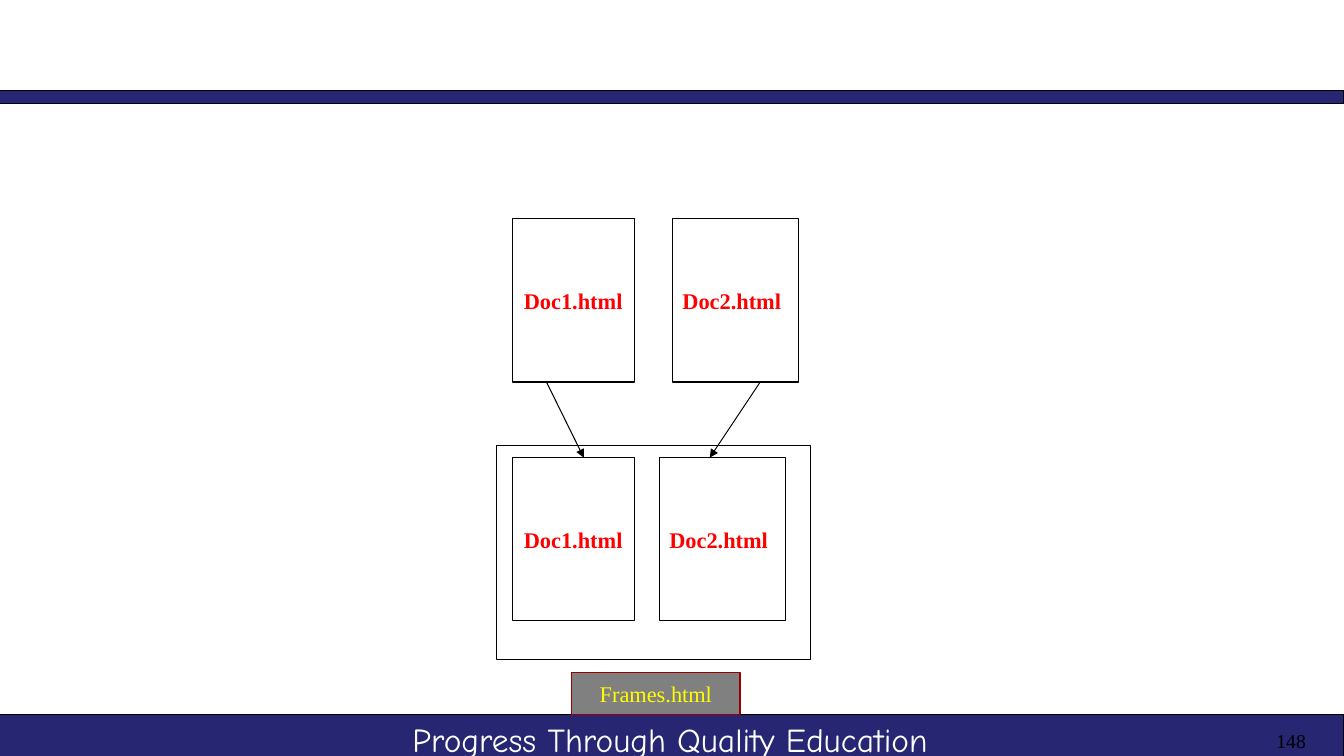
from lxml import etree
from pptx import Presentation
from pptx.dml.color import RGBColor
from pptx.enum.shapes import MSO_CONNECTOR, MSO_SHAPE
from pptx.enum.text import MSO_ANCHOR, PP_ALIGN
from pptx.oxml.ns import qn
from pptx.util import Inches, Pt

RECT = MSO_SHAPE.RECTANGLE
STRAIGHT = MSO_CONNECTOR.STRAIGHT
MIDDLE = MSO_ANCHOR.MIDDLE
LEFT, CENTER, RIGHT = PP_ALIGN.LEFT, PP_ALIGN.CENTER, PP_ALIGN.RIGHT

NAVY, WHITE, BLACK = "262673", "FFFFFF", "000000"
RED, YELLOW, GRAY, MAROON = "FF0000", "FFFF00", "808080", "990000"


def rgb(value):
    return RGBColor.from_string(value)


class FrameSlide:
    font = "Times New Roman"
    line_width = Pt(0.75)

    def __init__(self, prs):
        self.s = prs.slides.add_slide(prs.slide_layouts[6])

    def add_text(self, sp, text, size, color, align=CENTER, bold=False, font=None):
        tf = sp.text_frame
        tf.word_wrap = True
        tf.vertical_anchor = MIDDLE
        p = tf.paragraphs[0]
        p.alignment = align
        r = p.add_run()
        r.text = text
        r.font.name = font or self.font
        r.font.size = Pt(size)
        r.font.bold = bold
        r.font.color.rgb = rgb(color)

    def box(self, x, y, w, h, fill=WHITE, line=BLACK):
        sp = self.s.shapes.add_shape(RECT, Inches(x), Inches(y), Inches(w), Inches(h))
        sp.shadow.inherit = False
        sp.fill.solid()
        sp.fill.fore_color.rgb = rgb(fill)
        sp.line.color.rgb = rgb(line)
        sp.line.width = self.line_width
        return sp

    def label(self, x, y, w, h, text, size, color, **style):
        sp = self.s.shapes.add_textbox(Inches(x), Inches(y), Inches(w), Inches(h))
        self.add_text(sp, text, size, color, **style)

    def document(self, x, y, w, name, align):
        self.add_text(self.box(x, y, w, 1.62), name, 16, RED, align, bold=True)

    def arrow(self, x1, y1, x2, y2):
        c = self.s.shapes.add_connector(STRAIGHT, Inches(x1), Inches(y1), Inches(x2), Inches(y2))
        c.line.color.rgb = rgb(BLACK)
        c.line.width = self.line_width
        spPr = c._element.spPr
        etree.SubElement(spPr.find(qn("a:ln")), qn("a:tailEnd"), type="triangle")
        etree.SubElement(spPr, qn("a:effectLst"))


def main():
    prs = Presentation()
    prs.slide_width, prs.slide_height = Inches(13.33), Inches(7.5)
    slide = FrameSlide(prs)

    slide.box(0, 7.09, 13.33, 0.46, NAVY)
    slide.box(0, 0.9, 13.33, 0.13, NAVY)
    slide.label(3.48, 7.07, 6.33, 0.53, "Progress Through Quality Education", 23.9, WHITE,
                font="Comic Neue")
    slide.label(9.94, 7.17, 3.11, 0.36, "148", 14, BLACK, align=RIGHT)

    slide.box(4.92, 4.42, 3.12, 2.12)
    for y, doc2_x in ((4.54, 6.54), (2.17, 6.67)):
        slide.document(doc2_x, y, 1.25, "Doc2.html", LEFT)
        slide.document(5.08, y, 1.21, "Doc1.html", CENTER)
    frames = slide.box(5.67, 6.67, 1.67, 0.42, GRAY, MAROON)
    slide.add_text(frames, "Frames.html", 16, YELLOW)

    for start_x, end_x in ((5.42, 5.79), (7.54, 7.04)):
        slide.arrow(start_x, 3.79, end_x, 4.54)

    prs.save("out.pptx")


if __name__ == "__main__":
    main()
